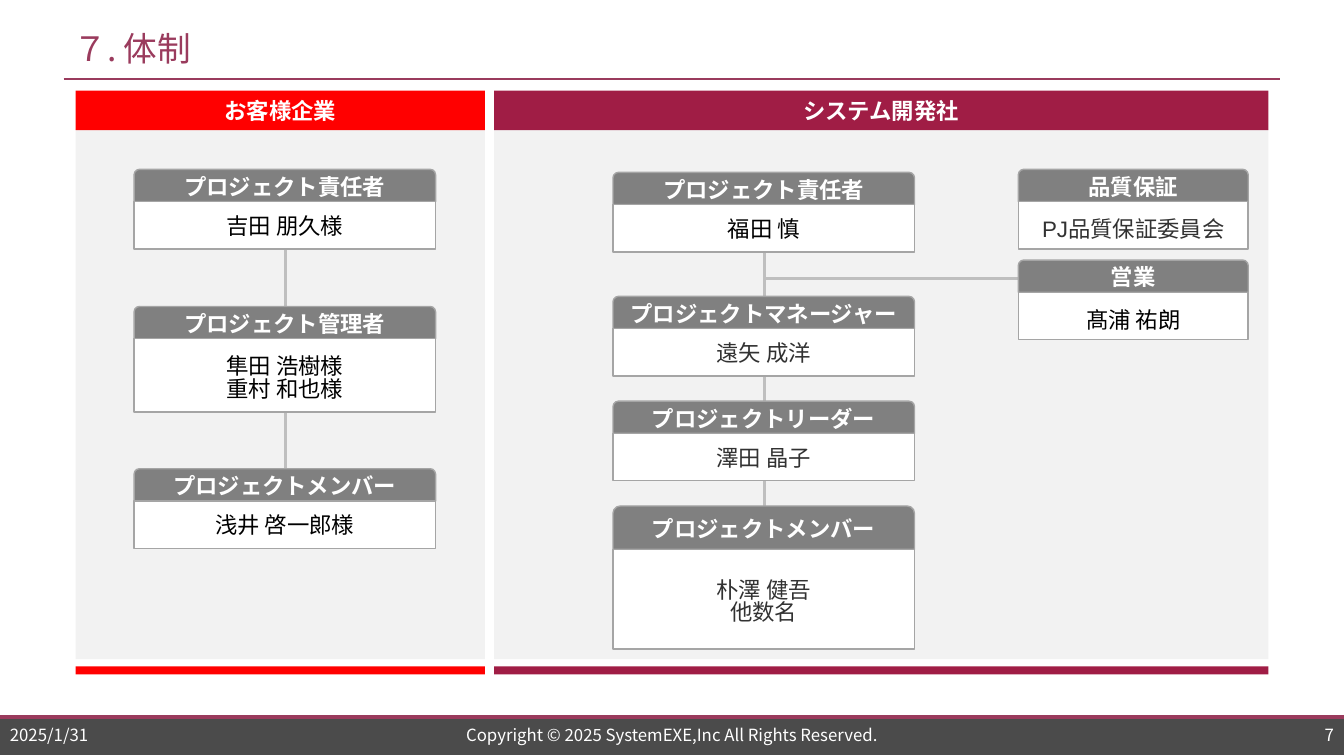
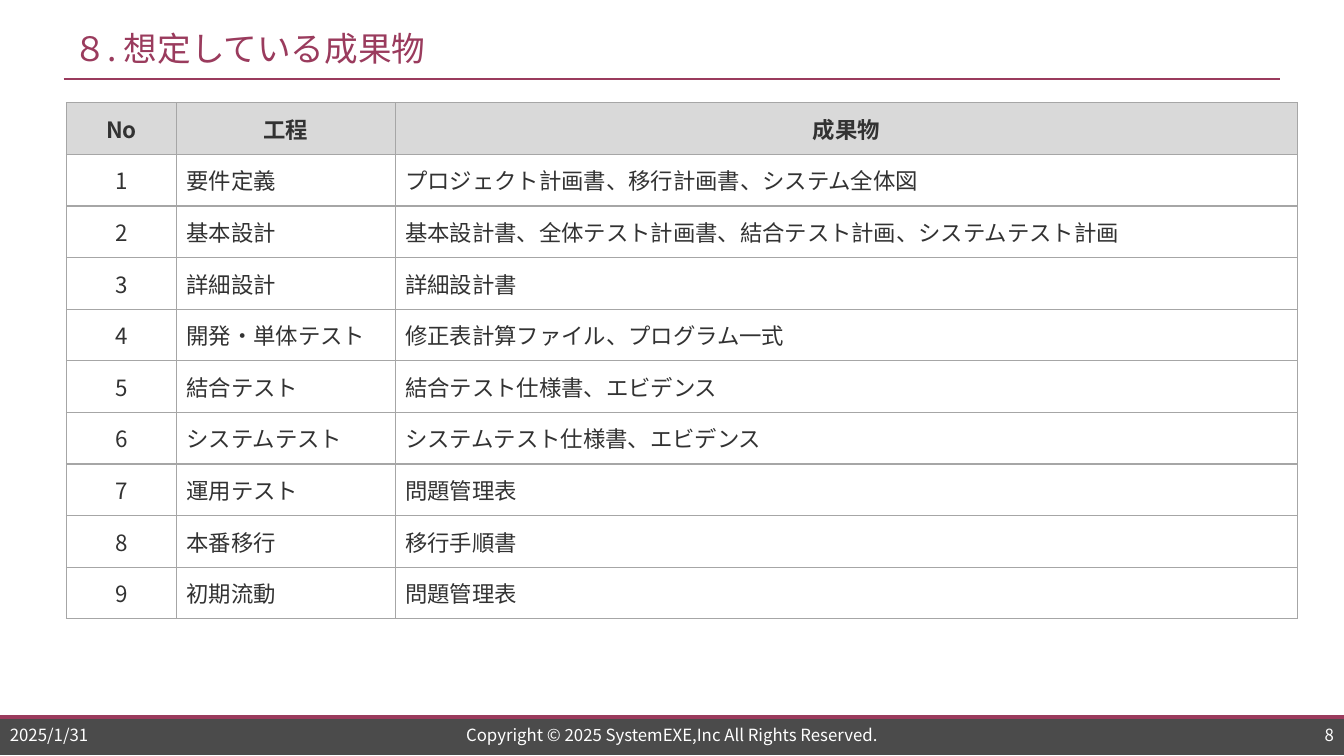
from dataclasses import dataclass

from lxml.etree import SubElement
from pptx import Presentation
from pptx.dml.color import RGBColor
from pptx.enum.shapes import MSO_CONNECTOR, MSO_SHAPE
from pptx.enum.text import MSO_ANCHOR, PP_ALIGN
from pptx.oxml import parse_xml
from pptx.oxml.ns import nsdecls, qn
from pptx.util import Inches, Pt

# Colours and fonts
WINE = RGBColor(0x9A, 0x3B, 0x5D)
PLUM = RGBColor(0xA0, 0x1D, 0x45)
RED = RGBColor(0xFF, 0x00, 0x00)
WHITE = RGBColor(0xFF, 0xFF, 0xFF)
BLACK = RGBColor(0x00, 0x00, 0x00)
INK = RGBColor(0x32, 0x32, 0x32)
DARK = RGBColor(0x4B, 0x4B, 0x4B)
GREY = RGBColor(0x80, 0x80, 0x80)
EDGE = RGBColor(0xA5, 0xA5, 0xA5)
RULE = RGBColor(0xA6, 0xA6, 0xA6)
LINK = RGBColor(0xBF, 0xBF, 0xBF)
SHADE = RGBColor(0xD9, 0xD9, 0xD9)
PALE = RGBColor(0xF2, 0xF2, 0xF2)
SANS = "Noto Sans CJK JP"
ARIAL = "Arial"

LEFT, MID, RIGHT = PP_ALIGN.LEFT, PP_ALIGN.CENTER, PP_ALIGN.RIGHT
WIDE, HIGH = 13.33, 7.5
SNUG = (0.04, 0.05, 0.04, 0.05)
LOW = (0.08, 0.12, 0.08, 0.05)
TIGHT = (0.04, 0.04, 0.04, 0.04)
PLAIN = (0.1, 0.05, 0.1, 0.05)


@dataclass
class Type:
    size: float
    color: RGBColor
    name: str = SANS
    bold: bool = False
    align: PP_ALIGN = MID


@dataclass
class Panel:
    x: float
    wide: float
    color: RGBColor
    name: str


@dataclass
class Card:
    x: float
    y: float
    wide: float
    role: str
    names: tuple[str, ...]
    body: float = 0.47
    head: float = 0.32
    inset: tuple = SNUG
    font: str = ARIAL
    color: RGBColor = BLACK


HEAD = Type(16, WHITE, ARIAL, True)

PANELS = [
    Panel(0.75, 4.06, RED, "お客様企業"),
    Panel(4.9, 7.68, PLUM, "システム開発社"),
]
CARDS = [
    Card(1.33, 1.68, 2.99, "プロジェクト責任者", ("吉田 朋久様",)),
    Card(1.33, 3.04, 2.99, "プロジェクト管理者", ("隼田 浩樹様", "重村 和也様"),
         body=0.73, inset=LOW),
    Card(1.33, 4.65, 2.99, "プロジェクトメンバー", ("浅井 啓一郎様",)),
    Card(6.08, 1.71, 2.99, "プロジェクト責任者", ("福田 慎",)),
    Card(6.08, 2.94, 2.99, "プロジェクトマネージャー", ("遠矢 成洋",),
         font=SANS, color=INK),
    Card(6.08, 3.98, 2.99, "プロジェクトリーダー", ("澤田 晶子",),
         font=SANS, color=INK),
    Card(6.08, 5.02, 2.99, "プロジェクトメンバー", ("朴澤 健吾", "他数名"),
         body=0.99, head=0.43, inset=LOW, font="Calibri", color=INK),
    Card(10.1, 1.68, 2.28, "品質保証", ("PJ品質保証委員会",),
         inset=LOW, color=INK),
    Card(10.1, 2.58, 2.28, "営業", ("髙浦 祐朗",), inset=LOW),
]
LINKS = [
    (2.83, 2.47, 2.83, 4.65),
    (7.58, 2.5, 7.58, 5.02),
    (10.22, 2.76, 7.58, 2.76),
]
COLS = (1.09, 2.17, 8.95)
ROWS = [
    ("工程", "成果物"),
    ("要件定義", "プロジェクト計画書、移行計画書、システム全体図"),
    ("基本設計", "基本設計書、全体テスト計画書、結合テスト計画、システムテスト計画"),
    ("詳細設計", "詳細設計書"),
    ("開発・単体テスト", "修正表計算ファイル、プログラム一式"),
    ("結合テスト", "結合テスト仕様書、エビデンス"),
    ("システムテスト", "システムテスト仕様書、エビデンス"),
    ("運用テスト", "問題管理表"),
    ("本番移行", "移行手順書"),
    ("初期流動", "問題管理表"),
]


# Drawing helpers
def apply(item, form: dict) -> None:
    for key, value in form.items():
        setattr(item, key, value)


def margins(inset: tuple) -> dict:
    sides = ("left", "top", "right", "bottom")
    return {f"margin_{s}": Inches(v) for s, v in zip(sides, inset)}


def write(frame, lines: tuple[str, ...], kind: Type) -> None:
    for i, line in enumerate(lines):
        para = frame.paragraphs[0] if i == 0 else frame.add_paragraph()
        para.alignment = kind.align
        if len(lines) > 1:
            para.line_spacing = 0.84
        run = para.add_run()
        run.text = line
        apply(run.font, {"size": Pt(kind.size), "name": kind.name,
                         "bold": kind.bold})
        run.font.color.rgb = kind.color
        SubElement(run._r.get_or_add_rPr(), qn("a:ea"), typeface=SANS)


def fit(frame, inset: tuple) -> None:
    apply(frame, {"word_wrap": True, "vertical_anchor": MSO_ANCHOR.MIDDLE,
                  **margins(inset)})


def block(shapes, box: tuple, fill: RGBColor, edge: RGBColor | None = None,
          form=MSO_SHAPE.RECTANGLE):
    shape = shapes.add_shape(form, *map(Inches, box))
    shape.shadow.inherit = False
    shape.fill.solid()
    shape.fill.fore_color.rgb = fill
    if edge is None:
        shape.line.fill.background()
    else:
        shape.line.color.rgb = edge
        shape.line.width = Pt(1)
    return shape


def label(shape, lines: tuple[str, ...], kind: Type,
          inset: tuple = PLAIN) -> None:
    fit(shape.text_frame, inset)
    write(shape.text_frame, lines, kind)


def note(slide, box: tuple, text: str, kind: Type) -> None:
    label(slide.shapes.add_textbox(*map(Inches, box)), (text,), kind)


def line(slide, ends: tuple, color: RGBColor, width: float) -> None:
    link = slide.shapes.add_connector(MSO_CONNECTOR.STRAIGHT,
                                      *map(Inches, ends))
    link.line.color.rgb = color
    link.line.width = Pt(width)
    SubElement(link._element.spPr, qn("a:effectLst"))


def card(slide, item: Card) -> None:
    group = slide.shapes.add_group_shape().shapes
    top = block(group, (item.x, item.y, item.wide, item.head), GREY, EDGE,
                MSO_SHAPE.ROUND_2_SAME_RECTANGLE)
    label(top, (item.role,), HEAD, SNUG)
    base = block(group, (item.x, item.y + item.head, item.wide, item.body),
                 WHITE, EDGE)
    label(base, item.names, Type(16, item.color, item.font), item.inset)


def border(cell) -> None:
    props = cell._tc.get_or_add_tcPr()
    for i, side in enumerate("LRTB"):
        props.insert(i, parse_xml(
            f'<a:ln{side} {nsdecls("a")} w="12700"><a:solidFill>'
            f'<a:srgbClr val="{RULE}"/></a:solidFill></a:ln{side}>'))


# Shared title, rules and footer
def page(deck, title: str, num: int):
    slide = deck.slides.add_slide(deck.slide_layouts[6])
    block(slide.shapes, (0, 7.1, WIDE, 0.39), DARK)
    line(slide, (0, 7.11, WIDE, 7.11), WINE, 2.75)
    line(slide, (0.63, 0.78, 12.7, 0.78), WINE, 1.5)
    note(slide, (0.63, 0.2, 12.07, 0.55), title, Type(24, WINE, align=LEFT))
    foot = [
        (0, 1.57, "2025/1/31", LEFT),
        (3.32, 6.69, "Copyright © 2025 SystemEXE,Inc All Rights Reserved.", MID),
        (11.76, 1.57, str(num), RIGHT),
    ]
    for x, wide, text, align in foot:
        note(slide, (x, 7.17, wide, 0.24), text, Type(12, WHITE, align=align))
    return slide


# Team chart
def team(deck) -> None:
    slide = page(deck, "７. 体制", 7)
    for item in PANELS:
        block(slide.shapes, (item.x, 1.28, item.wide, 5.26), PALE)
        band = block(slide.shapes, (item.x, 0.9, item.wide, 0.39), item.color)
        label(band, (item.name,), HEAD)
        block(slide.shapes, (item.x, 6.61, item.wide, 0.08), item.color)
    for ends in LINKS:
        line(slide, ends, LINK, 2.25)
    for item in CARDS:
        card(slide, item)


# Table of work products
def goods(deck) -> None:
    slide = page(deck, "８. 想定している成果物", 8)
    tall = 5.12
    box = map(Inches, (0.66, 1.02, sum(COLS), tall))
    table = slide.shapes.add_table(len(ROWS), len(COLS), *box).table
    apply(table, {"first_row": False, "horz_banding": False})
    for col, wide in zip(table.columns, COLS):
        col.width = Inches(wide)
    for r, row in enumerate(ROWS):
        table.rows[r].height = Inches(tall / len(ROWS))
        for c, text in enumerate((str(r) if r else "No", *row)):
            cell = table.cell(r, c)
            core = r == 0 or c == 0
            apply(cell, {"vertical_anchor": MSO_ANCHOR.MIDDLE,
                         **margins(TIGHT if core else PLAIN)})
            cell.fill.solid()
            cell.fill.fore_color.rgb = WHITE if r else SHADE
            border(cell)
            write(cell.text_frame, (text,),
                  Type(16, INK, bold=r == 0, align=MID if core else LEFT))


def main() -> None:
    deck = Presentation()
    apply(deck, {"slide_width": Inches(WIDE), "slide_height": Inches(HIGH)})
    team(deck)
    goods(deck)
    deck.save("out.pptx")


if __name__ == "__main__":
    main()
